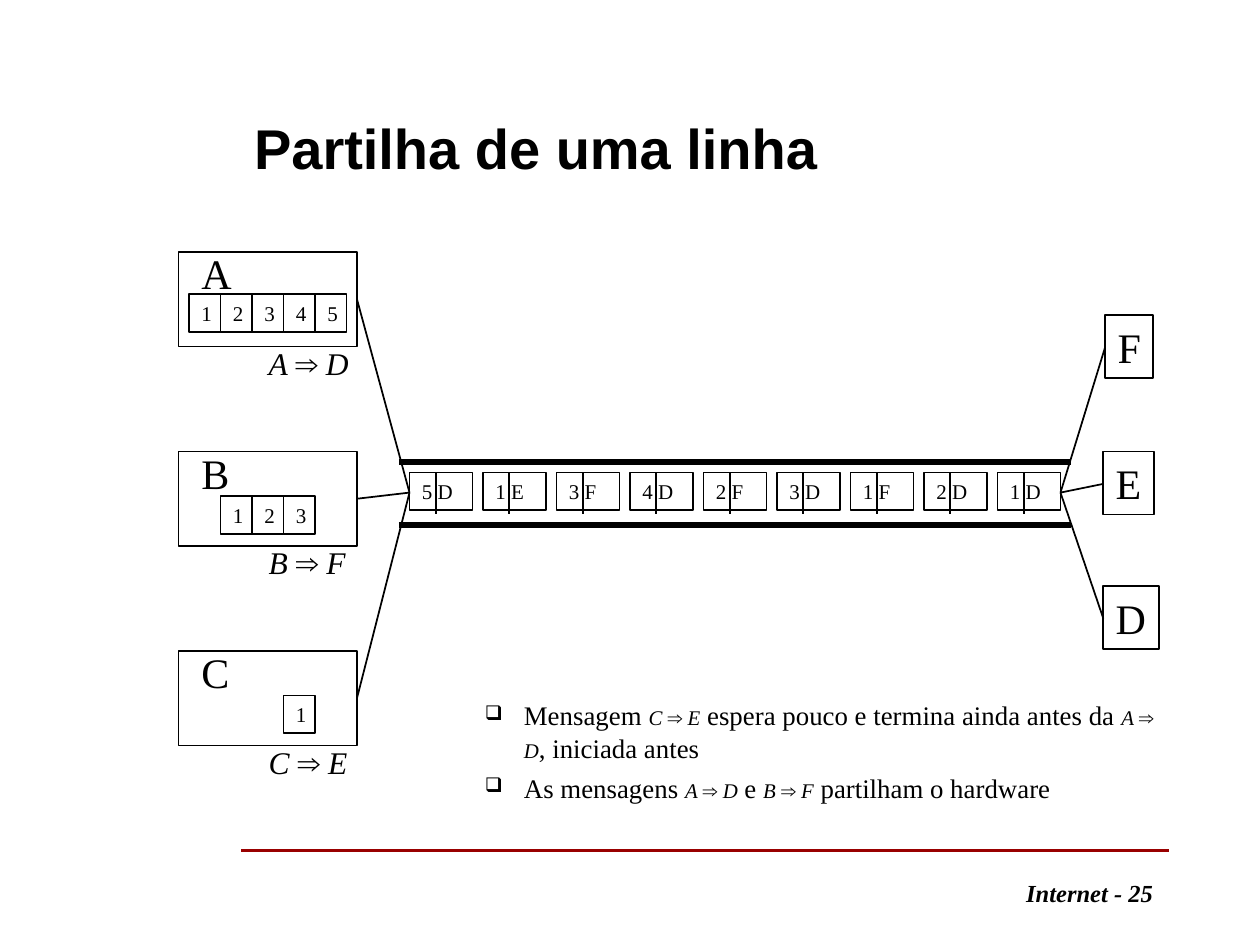
from lxml import etree
from pptx import Presentation
from pptx.dml.color import RGBColor
from pptx.enum import shapes, text
from pptx.oxml import ns
from pptx.util import Pt

BLACK = RGBColor(0, 0, 0)
RED = RGBColor(0x99, 0, 0)
SERIF, SANS = "Times New Roman", "Arial"

TITLE = "Partilha de uma linha"
FOOTER = "Internet - 25"
# name, target, packets, left of first packet, packet drop from box top
SENDERS = [
    ("A", "D", 5, 108, 24),
    ("B", "F", 3, 126, 25.5),
    ("C", "E", 1, 162, 25.5),
]
# name, left, top, width
RECEIVERS = [("F", 631.5, 180, 27.4), ("E", 630.5, 258, 28.8), ("D", 630.5, 335, 31.7)]
PACKETS = ["5 D", "1 E", "3 F", "4 D", "2 F", "3 D", "1 F", "2 D", "1 D"]
# a pair is a message from sender to target
NOTES = [
    ["Mensagem ", ("C", "E"), " espera pouco e termina ainda antes da ",
     ("A", "D"), ", iniciada antes"],
    ["As mensagens ", ("A", "D"), " e ", ("B", "F"), " partilham o hardware"],
]

BOX_X, BOX_Y, BOX_W, BOX_H, BOX_STEP = 102, 144, 102, 54, 114
CELL_W, CELL_H = 18, 21.6
LINE_X, LINE_END, LINE_Y = 234, 606, 281.5
PACK_Y, PACK_W, PACK_STEP = 270, 36, 42

prs = Presentation()
prs.slide_width, prs.slide_height = Pt(720), Pt(540)
slide = prs.slides.add_slide(prs.slide_layouts[5])


def style(font, size, name=SERIF, bold=False, italic=False):
    font.size, font.name, font.bold, font.italic = Pt(size), name, bold, italic
    font.color.rgb = BLACK


def write(shape, words, size, wrap=True):
    frame = shape.text_frame
    frame.word_wrap = wrap
    frame.vertical_anchor = text.MSO_ANCHOR.TOP
    para = frame.paragraphs[0]
    para.text = words
    para.alignment = text.PP_ALIGN.LEFT
    style(para.font, size)
    return para


def box(x, y, w, h):
    rect = slide.shapes.add_shape(shapes.MSO_SHAPE.RECTANGLE, Pt(x), Pt(y), Pt(w), Pt(h))
    rect.shadow.inherit = False
    rect.fill.background()
    rect.line.color.rgb = BLACK
    rect.line.width = Pt(1)
    return rect


def label(x, y, w, h):
    return slide.shapes.add_textbox(Pt(x), Pt(y), Pt(w), Pt(h))


def line(x1, y1, x2, y2, width=1, color=BLACK):
    link = slide.shapes.add_connector(
        shapes.MSO_CONNECTOR.STRAIGHT, Pt(x1), Pt(y1), Pt(x2), Pt(y2))
    link.line.width = Pt(width)
    link.line.color.rgb = color
    etree.SubElement(link._element.spPr, ns.qn("a:effectLst"))


def add_run(para, words, size, name=SERIF, italic=False):
    run = para.add_run()
    run.text = words
    style(run.font, size, name, italic=italic)


def add_pair(para, pair, size):
    """Add a message name, such as A ⇒ D."""
    add_run(para, pair[0] + " ", size, italic=True)
    add_run(para, "⇒", size, SANS)
    add_run(para, " " + pair[1], size, italic=True)


def bullet(para):
    props = para._p.get_or_add_pPr()
    props.set("marL", str(Pt(58.3)))
    props.set("indent", str(Pt(-22.3)))
    color = etree.SubElement(props, ns.qn("a:buClr"))
    etree.SubElement(color, ns.qn("a:srgbClr"), val=str(BLACK))
    etree.SubElement(props, ns.qn("a:buSzPct"), val="75000")
    etree.SubElement(props, ns.qn("a:buChar"), char="❑")


title = slide.shapes.title
title.left, title.top, title.width, title.height = Pt(138), Pt(48), Pt(528), Pt(72)
head = write(title, TITLE, 32)
style(head.font, 32, SANS, bold=True)
title.text_frame.vertical_anchor = text.MSO_ANCHOR.MIDDLE

line(138, 486, 668, 486, 2, RED)
foot = label(516, 492, 150, 36)
para = write(foot, FOOTER, 14)
para.alignment = text.PP_ALIGN.RIGHT
style(para.font, 14, bold=True, italic=True)
foot.text_frame.vertical_anchor = text.MSO_ANCHOR.MIDDLE

for i, (name, target, count, left, drop) in enumerate(SENDERS):
    top = BOX_Y + i * BOX_STEP
    box(BOX_X, top, BOX_W, BOX_H)
    write(label(108, top - 6, 30.5, 36), name, 24, wrap=False)
    for j in range(count):
        cell = box(left + j * CELL_W, top + drop, CELL_W, CELL_H)
        write(cell, str(j + 1), 12)
    route = write(label(146.5, top + 49, 61, 28.8), "", 18, wrap=False)
    add_pair(route, (name, target), 18)
    line(BOX_X + BOX_W, top + BOX_H / 2, LINE_X, LINE_Y)

for name, left, top, width in RECEIVERS:
    write(box(left, top, width, 36), name, 24, wrap=False)
    line(LINE_END, LINE_Y, left, top + 18.5)

for y in (264, 300):
    line(228, y, 612, y, 3)
for i, name in enumerate(PACKETS):
    x = LINE_X + i * PACK_STEP
    write(box(x, PACK_Y, PACK_W, CELL_H), name, 12)
    line(x + 15, PACK_Y, x + 15, PACK_Y + 24)

notes = label(234, 396, 438, 72).text_frame
notes.word_wrap = True
for i, parts in enumerate(NOTES):
    para = notes.add_paragraph() if i else notes.paragraphs[0]
    bullet(para)
    para.space_before = Pt(4.5)
    for part in parts:
        if isinstance(part, tuple):
            add_pair(para, part, 11.9)
        else:
            add_run(para, part, 15.3)

prs.save("out.pptx")
